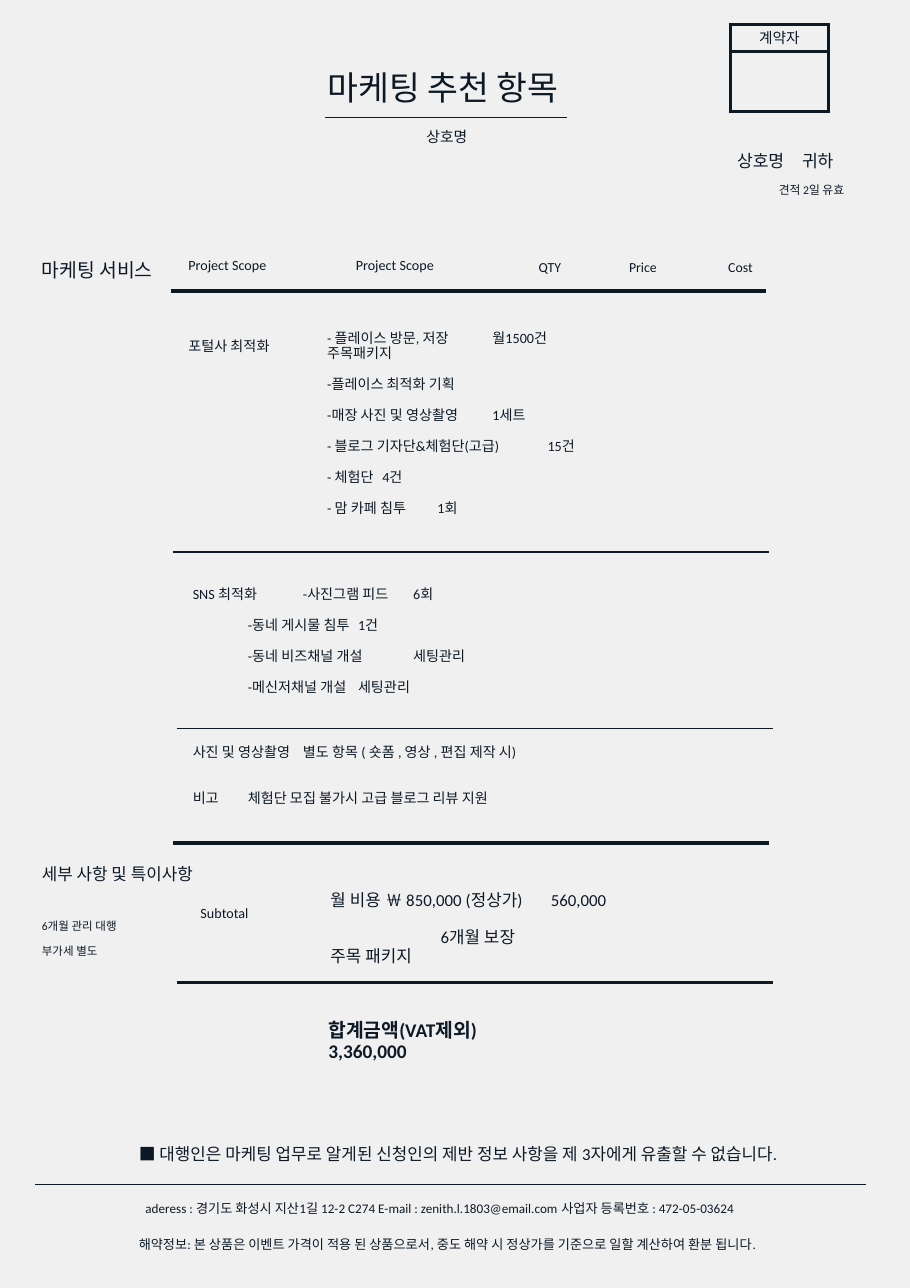
from lxml.etree import SubElement
from pptx import Presentation
from pptx.dml.color import RGBColor
from pptx.enum.shapes import MSO_CONNECTOR
from pptx.enum.text import MSO_ANCHOR, MSO_AUTO_SIZE, PP_ALIGN
from pptx.oxml.ns import qn
from pptx.util import Inches, Pt

INK = RGBColor(0x0D, 0x1A, 0x26)
PAPER = RGBColor(0xF0, 0xF0, 0xF0)
FONT = "Calibri"
BODY_SIZE = 9.2
LINE_RATIO = 1.1

TITLE = "마케팅 추천 항목"
PORTAL_ITEMS = [
    "- 플레이스 방문, 저장\t월1500건\v주목패키지",
    "-플레이스 최적화 기획",
    "-매장 사진 및 영상촬영\t1세트",
    "- 블로그 기자단&체험단(고급)\t15건",
    "- 체험단\t4건",
    "- 맘 카페 침투\t1회",
]
SNS_ITEMS = [
    "SNS 최적화\t-사진그램 피드\t6회",
    "\t-동네 게시물 침투\t1건",
    "\t-동네 비즈채널 개설\t세팅관리",
    "\t-메신저채널 개설\t세팅관리",
]
EXTRA_ITEMS = [
    "사진 및 영상촬영\t별도 항목 ( 숏폼 , 영상 , 편집 제작 시)",
    "비고\t체험단 모집 불가시 고급 블로그 리뷰 지원",
]
DETAILS = [
    ("세부 사항 및 특이사항", 11, 0),
    ("6개월 관리 대행", 7.5, 24.2),
    ("부가세 별도", 7.5, 8.3),
]
PRICES = [
    ("월 비용\t￦ 850,000 (정상가)\t560,000", 11, 0),
    ("\t\t6개월 보장", 11, 12.1),
    ("주목 패키지", 11, 0),
]
SECTION_TABS = [1.32, 3.38]
LABELS = [
    ("상호명", 3.87, 1.17, 0.45, 0.15, 9.7),
    ("상호명", 6.69, 1.38, 0.52, 0.19, 11.2),
    ("귀하", 7.28, 1.38, 0.52, 0.19, 11.2),
    ("견적 2일 유효", 7.07, 1.67, 0.7, 0.13, 7.7),
    ("마케팅 서비스", 0.38, 2.36, 1.28, 0.2, 12.6),
    ("Project Scope", 1.71, 2.34, 0.94, 0.29, BODY_SIZE),
    ("Project Scope", 3.23, 2.34, 0.94, 0.29, BODY_SIZE),
    ("QTY", 4.89, 2.36, 0.33, 0.28, 9),
    ("Price", 5.71, 2.36, 0.33, 0.28, 9),
    ("Cost", 6.61, 2.36, 0.33, 0.28, 9),
    ("포털사 최적화", 1.71, 3.08, 0.94, 0.29, BODY_SIZE),
    ("Subtotal", 1.82, 8.22, 0.94, 0.29, BODY_SIZE),
    ("■ 대행인은 마케팅 업무로 알게된 신청인의 제반 정보 사항을 제 3자에게 유출할 수 없습니다.",
     1.26, 10.4, 6.1, 0.35, 11),
    ("aderess : 경기도 화성시 지산1길 12-2 C274 E-mail : zenith.l.1803@email.com "
     "사업자 등록번호 : 472-05-03624", 1.32, 10.91, 6.1, 0.27, 8.6),
    ("해약정보: 본 상품은 이벤트 가격이 적용 된 상품으로서, 중도 해약 시 정상가를 기준으로 "
     "일할 계산하여 환분 됩니다.", 1.26, 11.23, 6.1, 0.27, 8.6),
]
RULES = [
    (2.95, 5.15, 1.07, 0.75),
    (1.55, 6.95, 2.64, 2.25),
    (1.57, 6.98, 5.01, 0.75),
    (1.61, 7.02, 6.61, 0.75),
    (1.57, 6.98, 7.65, 2.25),
    (1.61, 7.02, 8.92, 2.25),
    (0.32, 7.86, 10.75, 0.75),
]
SIGN_ROWS = [0.22, 0.47, 1.01]
SIGN_SIDES = [6.63, 7.52]


def write(shape, text, size=BODY_SIZE, gap=0, bold=False, tabs=()):
    """Fill a shape with one text or a list of lines, each formatted by size and gap."""
    frame = shape.text_frame
    frame.word_wrap = True
    frame.auto_size = MSO_AUTO_SIZE.SHAPE_TO_FIT_TEXT
    frame.vertical_anchor = MSO_ANCHOR.TOP
    frame.margin_left = frame.margin_top = frame.margin_right = frame.margin_bottom = 0
    lines = [text] if isinstance(text, str) else text
    for number, line in enumerate(lines):
        words, points, before = (line, size, gap) if isinstance(line, str) else line
        paragraph = frame.add_paragraph() if number else frame.paragraphs[0]
        properties = paragraph._p.get_or_add_pPr()
        properties.set("marL", "0")
        properties.set("indent", "0")
        SubElement(properties, qn("a:buNone"))
        if tabs:
            tab_list = SubElement(properties, qn("a:tabLst"))
            for tab in tabs:
                SubElement(tab_list, qn("a:tab"), pos=str(Inches(tab)), algn="l")
        paragraph.alignment = PP_ALIGN.LEFT
        paragraph.line_spacing = Pt(round(points * LINE_RATIO, 1))
        paragraph.space_before = Pt(before if number else 0)
        paragraph.space_after = Pt(0)
        paragraph.text = words
        for run in paragraph.runs:
            run.font.name = FONT
            run.font.size = Pt(points)
            run.font.bold = bold
            run.font.color.rgb = INK


def place(shape, left, top, width, height):
    """Move and size a placeholder in inches."""
    shape.left, shape.top = Inches(left), Inches(top)
    shape.width, shape.height = Inches(width), Inches(height)
    return shape


def add_box(shapes, left, top, width, height):
    """Add an empty text box measured in inches."""
    return shapes.add_textbox(Inches(left), Inches(top), Inches(width), Inches(height))


def add_rule(shapes, x1, y1, x2, y2, weight):
    """Draw a straight dark line without shadow."""
    rule = shapes.add_connector(
        MSO_CONNECTOR.STRAIGHT, Inches(x1), Inches(y1), Inches(x2), Inches(y2))
    rule.line.color.rgb = INK
    rule.line.width = Pt(weight)
    SubElement(rule._element.spPr, qn("a:effectLst"))


def main():
    """Build the marketing quotation sheet."""
    deck = Presentation()
    deck.slide_width, deck.slide_height = Inches(8.26), Inches(11.69)
    slide = deck.slides.add_slide(deck.slide_layouts[1])
    slide.background.fill.solid()
    slide.background.fill.fore_color.rgb = PAPER
    shapes = slide.shapes

    for start, end, level, weight in RULES:
        add_rule(shapes, start, level, end, level, weight)

    sign_box = shapes.add_group_shape().shapes
    left, right = SIGN_SIDES
    for level in SIGN_ROWS:
        add_rule(sign_box, left - 0.01, level, right + 0.01, level, 2)
    for side in SIGN_SIDES:
        add_rule(sign_box, side, SIGN_ROWS[-1], side, SIGN_ROWS[0], 2)
    write(add_box(sign_box, 6.89, 0.27, 0.39, 0.15), "계약자", size=9.6)

    write(place(shapes.title, 2.97, 0.64, 2.16, 0.34), TITLE, size=21.9)
    portal_list = place(slide.placeholders[1], 2.97, 3, 4.14, 1.69)
    write(portal_list, PORTAL_ITEMS, gap=10.1, tabs=[2.06])
    write(add_box(shapes, 1.75, 5.33, 4.14, 1.2), SNS_ITEMS, gap=10.1, tabs=SECTION_TABS)
    write(add_box(shapes, 1.75, 6.76, 4.14, 0.6), EXTRA_ITEMS, gap=20.2, tabs=SECTION_TABS)
    write(add_box(shapes, 0.38, 7.85, 1.53, 0.85), DETAILS)
    write(add_box(shapes, 3, 8.09, 4.9, 0.68), PRICES, tabs=[1.36, 3.4])
    write(add_box(shapes, 2.98, 9.26, 4.21, 0.38), "합계금액(VAT제외)\v3,360,000",
          size=12.6, bold=True)
    for text, *area, size in LABELS:
        write(add_box(shapes, *area), text, size=size)

    deck.save("out.pptx")


if __name__ == "__main__":
    main()
